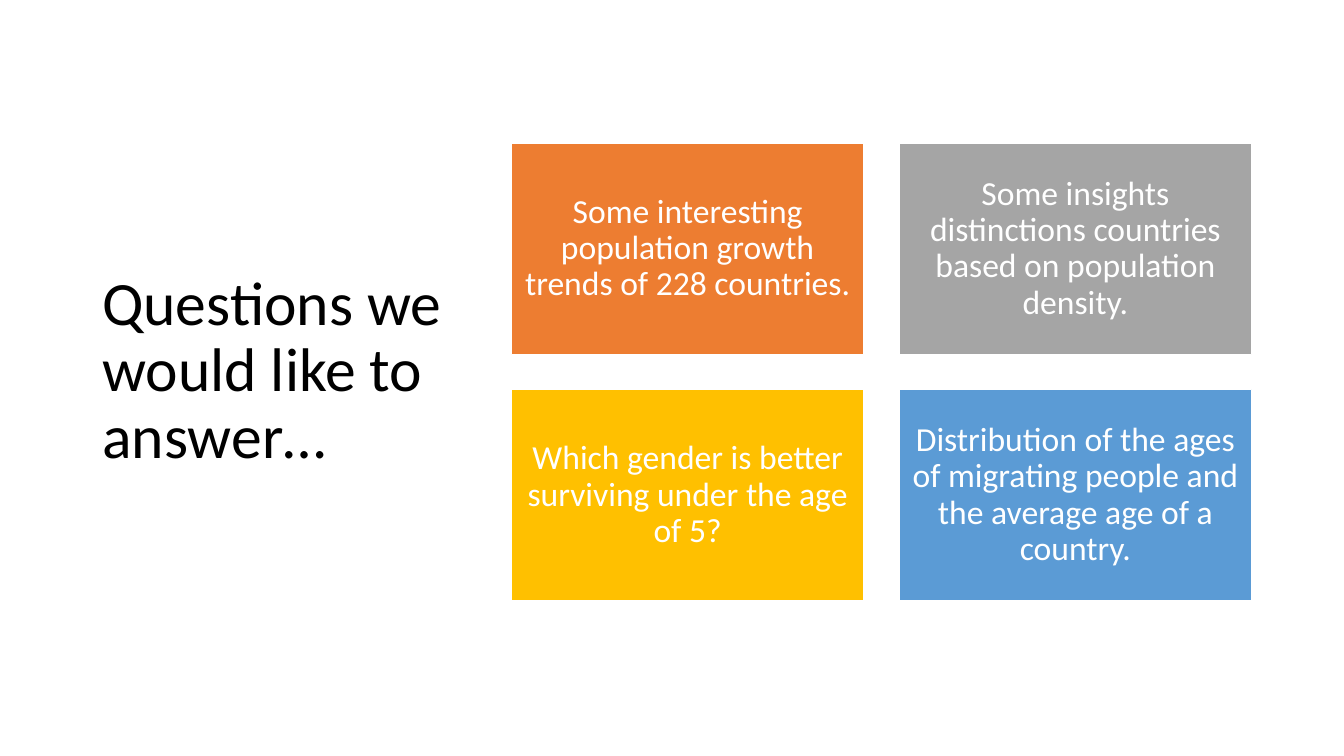
from pptx import Presentation
from pptx.dml.color import RGBColor
from pptx.enum.shapes import MSO_SHAPE
from pptx.enum.text import MSO_ANCHOR, PP_ALIGN
from pptx.util import Pt

RECTANGLE = MSO_SHAPE.RECTANGLE
MIDDLE = MSO_ANCHOR.MIDDLE
LEFT, CENTER = PP_ALIGN.LEFT, PP_ALIGN.CENTER

BLACK = RGBColor(0x00, 0x00, 0x00)
WHITE = RGBColor(0xFF, 0xFF, 0xFF)
ORANGE = RGBColor(0xED, 0x7D, 0x31)
GRAY = RGBColor(0xA5, 0xA5, 0xA5)
GOLD = RGBColor(0xFF, 0xC0, 0x00)
BLUE = RGBColor(0x5B, 0x9B, 0xD5)

# Card grid, in points
GRID_LEFT, GRID_TOP = 365.2, 102.2
CARD_WIDTH, CARD_HEIGHT = 252, 151
GAP = 25
COLUMNS = 2

QUESTIONS = [
    ("Some interesting population growth trends of 228 countries.", ORANGE),
    ("Some insights distinctions countries based on population density.", GRAY),
    ("Which gender is better surviving under the age of 5?", GOLD),
    ("Distribution of the ages of migrating people and the average age of a country.", BLUE),
]


def set_attributes(target, values):
    for name, value in values.items():
        setattr(target, name, value)


def write_text(shape, text, size, color, alignment, margin_x, margin_y):
    frame = shape.text_frame
    set_attributes(frame, {
        "word_wrap": True, "vertical_anchor": MIDDLE,
        "margin_left": Pt(margin_x), "margin_right": Pt(margin_x),
        "margin_top": Pt(margin_y), "margin_bottom": Pt(margin_y),
    })
    paragraph = frame.paragraphs[0]
    set_attributes(paragraph, {"alignment": alignment, "line_spacing": 0.9})
    run = paragraph.add_run()
    run.text = text
    set_attributes(run.font, {"name": "Calibri", "size": Pt(size)})
    run.font.color.rgb = color


def add_title(slide, text):
    box = slide.shapes.add_textbox(Pt(66), Pt(49), Pt(266), Pt(433.4))
    write_text(box, text, 44, BLACK, LEFT, 7.2, 3.6)


def add_card(slide, index, text, color):
    row, column = divmod(index, COLUMNS)
    card = slide.shapes.add_shape(
        RECTANGLE,
        Pt(GRID_LEFT + column * (CARD_WIDTH + GAP)),
        Pt(GRID_TOP + row * (CARD_HEIGHT + GAP)),
        Pt(CARD_WIDTH), Pt(CARD_HEIGHT),
    )
    card.shadow.inherit = False
    card.fill.solid()
    card.fill.fore_color.rgb = color
    card.line.color.rgb = WHITE
    card.line.width = Pt(1)
    write_text(card, text, 24, WHITE, CENTER, 7.2, 7.2)


def main():
    presentation = Presentation()
    set_attributes(presentation, {"slide_width": Pt(960), "slide_height": Pt(540)})
    slide = presentation.slides.add_slide(presentation.slide_layouts[6])

    # Title on the left
    add_title(slide, "Questions we would like to answer…")

    # Question cards on the right
    for index, (text, color) in enumerate(QUESTIONS):
        add_card(slide, index, text, color)

    presentation.save("out.pptx")


if __name__ == "__main__":
    main()
